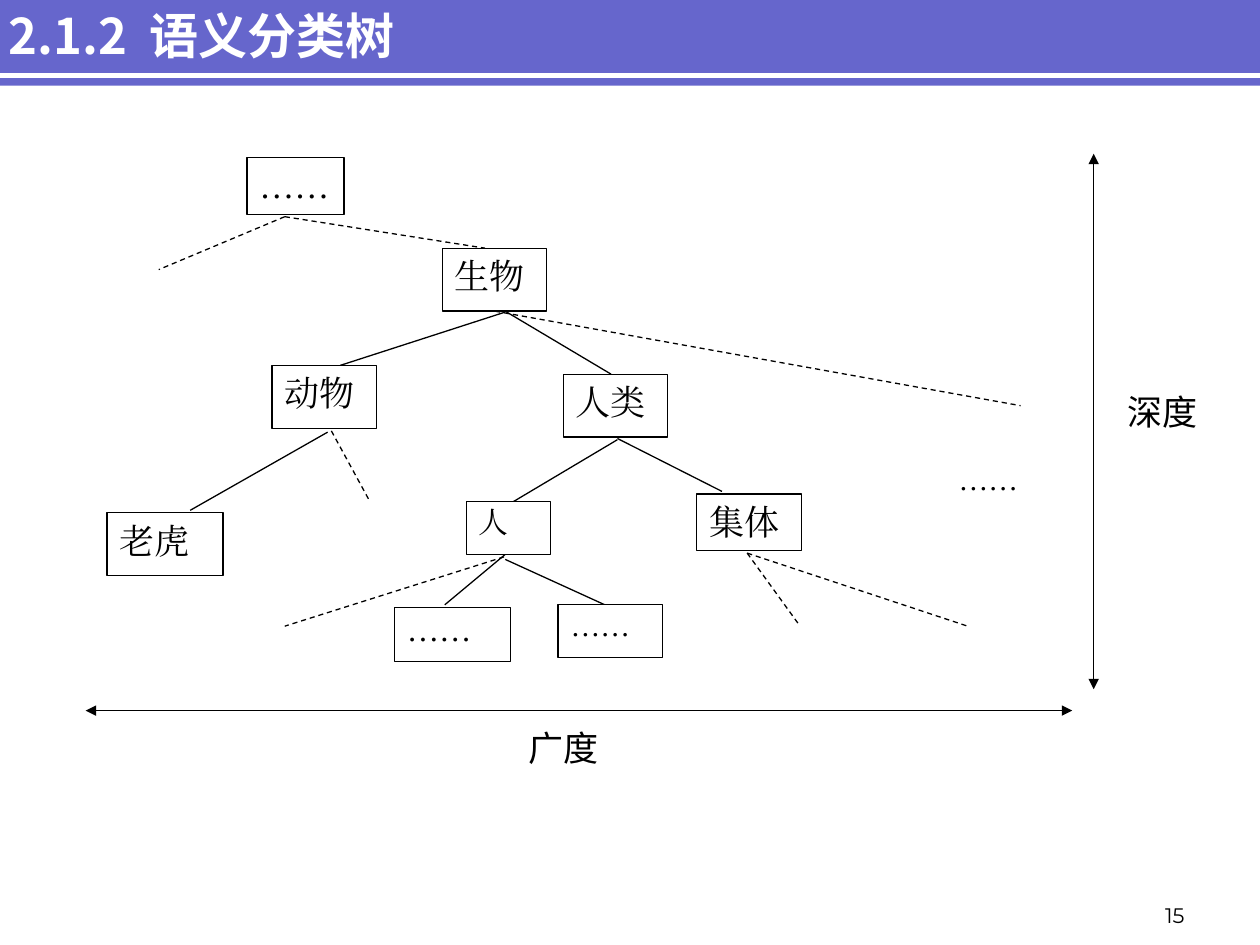
from dataclasses import dataclass

from lxml.etree import SubElement
from pptx import Presentation
from pptx.dml.color import RGBColor
from pptx.enum.dml import MSO_LINE
from pptx.enum.shapes import MSO_CONNECTOR as Connector, MSO_SHAPE as Preset
from pptx.enum.text import MSO_ANCHOR as Anchor, PP_ALIGN as Align
from pptx.oxml.ns import qn
from pptx.util import Emu, Pt

EMU_PER_PX = 9144


@dataclass(frozen=True)
class Theme:
    band: RGBColor = RGBColor(0x66, 0x66, 0xCC)
    paper: RGBColor = RGBColor(0xFF, 0xFF, 0xFF)
    ink: RGBColor = RGBColor(0, 0, 0)
    title_font: str = "Noto Sans CJK SC"
    tree_font: str = "Times New Roman"
    axis_font: str = "Arial"
    number_font: str = "Montserrat"
    title_size: float = 28
    body_size: float = 20
    medium_size: float = 18.5
    small_size: float = 17
    number_size: float = 12
    thin: float = 0.75
    thick: float = 3


@dataclass(frozen=True)
class Box:
    left: int
    top: int
    width: int
    height: int

    def inner(self, left, top, width, height):
        return Box(self.left + left, self.top + top, width, height)

    def point(self, x, y):
        return px(self.left + x), px(self.top + y)

    def emu(self):
        return [px(n) for n in (self.left, self.top, self.width, self.height)]


THEME = Theme()

NODES = [
    ("……", 116, 5, 77, 45, THEME.body_size),
    ("生物", 271, 77, 83, 50, THEME.body_size),
    ("动物", 136, 170, 83, 50, THEME.body_size),
    ("人类", 367, 177, 83, 50, THEME.body_size),
    ("老虎", 5, 287, 92, 50, THEME.body_size),
    ("人", 290, 278, 67, 42, THEME.small_size),
    ("集体", 473, 272, 83, 45, THEME.body_size),
    ("……", 233, 362, 92, 43, THEME.medium_size),
    ("……", 363, 360, 83, 42, THEME.small_size),
]

SOLID_BRANCHES = [
    (320, 128, 190, 170),
    (321, 127, 405, 177),
    (180, 223, 71, 285),
    (410, 229, 326, 279),
    (410, 228, 493, 270),
    (321, 320, 273, 360),
    (321, 324, 400, 360),
]

DASHED_BRANCHES = [
    (146, 52, 46, 94),
    (146, 52, 305, 77),
    (313, 127, 730, 202),
    (183, 222, 213, 277),
    (320, 322, 146, 377),
    (513, 319, 688, 377),
    (513, 319, 555, 377),
]


def px(count):
    return Emu(count * EMU_PER_PX)


def write(shape, text, font, size, color=THEME.ink, bold=False,
          align=Align.LEFT, anchor=Anchor.TOP):
    frame = shape.text_frame
    frame.word_wrap = True
    frame.vertical_anchor = anchor
    para = frame.paragraphs[0]
    para.alignment = align
    if size in (THEME.small_size, THEME.medium_size):
        para.line_spacing = 0.9
    span = para.add_run()
    span.text = text
    span.font.name = font
    span.font.size = Pt(size)
    span.font.bold = bold
    span.font.color.rgb = color
    latin = span.font._element.find(qn("a:latin"))
    east_asian = latin.makeelement(qn("a:ea"), {"typeface": font})
    latin.addnext(east_asian)


def add_label(page, box, text, font, size, **style):
    label = page.shapes.add_textbox(*box.emu())
    write(label, text, font, size, **style)


def add_rectangle(page, box, fill):
    rectangle = page.shapes.add_shape(Preset.RECTANGLE, *box.emu())
    rectangle.shadow.inherit = False
    rectangle.fill.solid()
    rectangle.fill.fore_color.rgb = fill
    return rectangle


def add_line(page, start, end, color=THEME.ink, width=THEME.thin,
             dashed=False, arrows=False):
    line = page.shapes.add_connector(Connector.STRAIGHT, *start, *end)
    line.line.color.rgb = color
    line.line.width = Pt(width)
    if dashed:
        line.line.dash_style = MSO_LINE.DASH
    if arrows:
        outline = line.line._get_or_add_ln()
        for tag in ("a:headEnd", "a:tailEnd"):
            SubElement(outline, qn(tag), type="triangle")
    SubElement(line._element.spPr, qn("a:effectLst"))


def add_header(page, box):
    add_rectangle(page, box, THEME.band).line.fill.background()
    add_line(page, box.point(0, 63), box.point(box.width, 63),
             THEME.paper, THEME.thick)
    title = page.shapes.title
    title.left, title.top, title.width, title.height = box.inner(1, 0, 616, 61).emu()
    write(title, "2.1.2  语义分类树", THEME.title_font, THEME.title_size,
          THEME.paper, bold=True, anchor=Anchor.MIDDLE)
    page.shapes._spTree.append(title._element)


def add_tree(page, box):
    for branches, dashed in ((SOLID_BRANCHES, False), (DASHED_BRANCHES, True)):
        for x1, y1, x2, y2 in branches:
            add_line(page, box.point(x1, y1), box.point(x2, y2), dashed=dashed)
    for text, left, top, width, height, size in NODES:
        node = add_rectangle(page, box.inner(left, top, width, height), THEME.paper)
        node.line.color.rgb = THEME.ink
        node.line.width = Pt(THEME.thin)
        write(node, text, THEME.tree_font, size)
    add_label(page, box.inner(671, 244, 108, 42), "……",
              THEME.tree_font, THEME.small_size)


def add_axes(page, box):
    right, bottom = box.width, box.height
    add_line(page, box.point(right, 0), box.point(right, 425), arrows=True)
    add_line(page, box.point(0, bottom), box.point(right - 17, bottom), arrows=True)
    labels = (("深度", right + 17, 183), ("广度", 342, bottom + 8))
    for text, left, top in labels:
        add_label(page, box.inner(left, top, 83, 44), text,
                  THEME.axis_font, THEME.body_size)


def add_page_number(page, box):
    add_label(page, box, "15", THEME.number_font, THEME.number_size,
              align=Align.RIGHT, anchor=Anchor.BOTTOM)


def main():
    deck = Presentation()
    deck.slide_width, deck.slide_height = px(1000), px(750)
    page = deck.slides.add_slide(deck.slide_layouts[5])
    add_header(page, Box(-4, -3, 1004, 71))
    add_tree(page, Box(80, 120, 740, 410))
    add_axes(page, Box(68, 122, 800, 442))
    add_page_number(page, Box(862, 706, 88, 35))
    deck.save("out.pptx")


if __name__ == "__main__":
    main()
